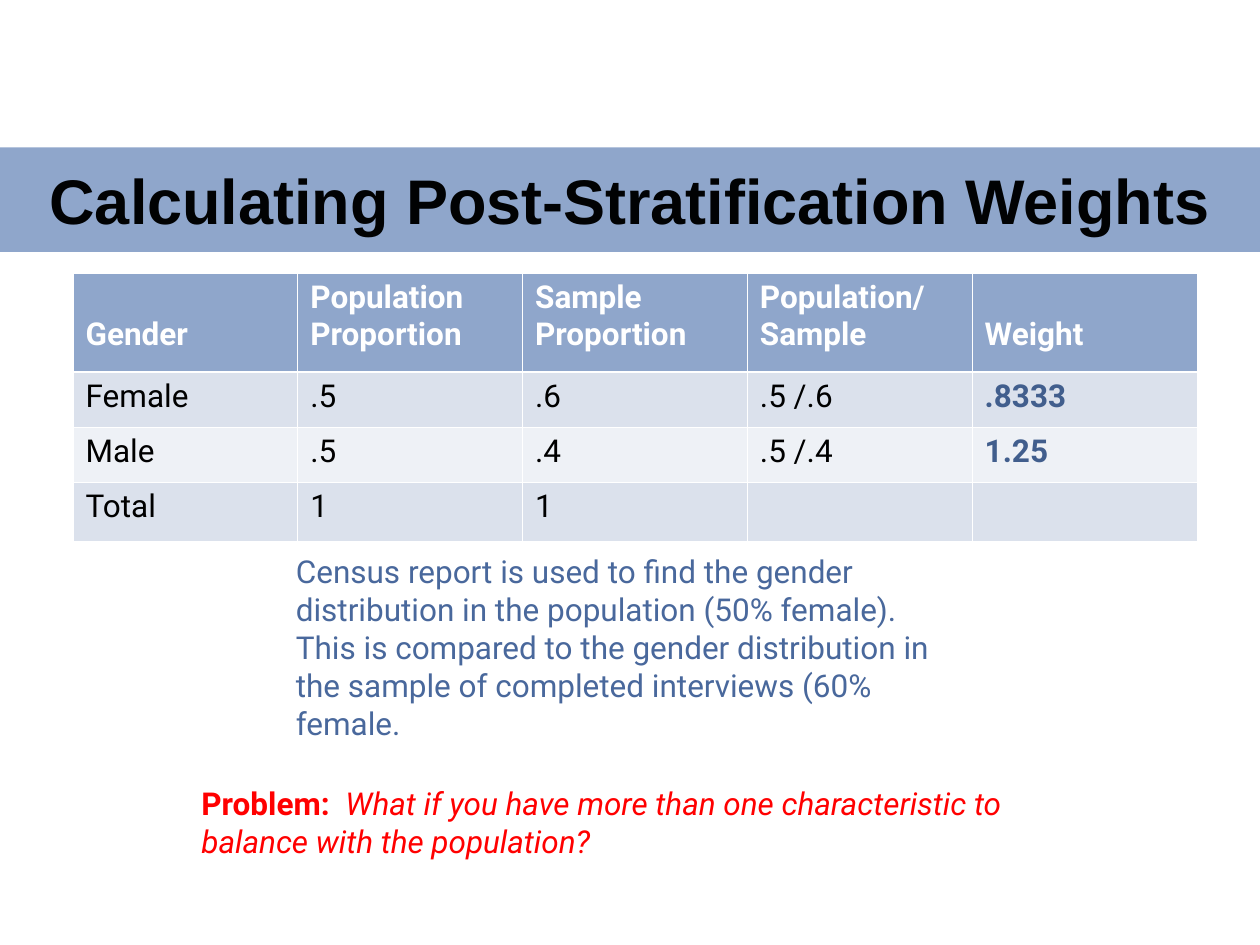
import dataclasses

import lxml.etree
import pptx
import pptx.dml.color
import pptx.enum.text
import pptx.oxml.ns
import pptx.util

Inches = pptx.util.Inches
Pt = pptx.util.Pt


@dataclasses.dataclass(frozen=True)
class Theme:
    band: str = "8FA6CB"
    title: str = "010203"
    white: str = "FFFFFF"
    black: str = "000000"
    row_dark: str = "DBE1EC"
    row_light: str = "EEF1F6"
    weight: str = "415E8D"
    note: str = "49689C"
    problem: str = "FF0000"
    title_font: str = "Arial"
    body_font: str = "Roboto"
    title_size: float = 36
    body_size: float = 18
    line_pitch: float = 21.7
    thin: float = 0.45
    thick: float = 1.47


def rgb(color):
    return pptx.dml.color.RGBColor.from_string(color)


class SlideBuilder:
    def __init__(self, presentation, theme):
        self.theme = theme
        self.slide = presentation.slides.add_slide(presentation.slide_layouts[5])

    def style(self, run, color, bold=False, italic=False, name=None, size=None):
        font = run.font
        font.name = name or self.theme.body_font
        font.size = Pt(size or self.theme.body_size)
        font.bold, font.italic = bold, italic
        font.color.rgb = rgb(color)

    def title(self, text, left, top, width, height):
        heading = self.slide.shapes.title
        heading.left, heading.top = Inches(left), Inches(top)
        heading.width, heading.height = Inches(width), Inches(height)
        heading.fill.solid()
        heading.fill.fore_color.rgb = rgb(self.theme.band)
        frame = heading.text_frame
        frame.text = text
        frame.auto_size = pptx.enum.text.MSO_AUTO_SIZE.NONE
        frame.vertical_anchor = pptx.enum.text.MSO_ANCHOR.MIDDLE
        frame.paragraphs[0].alignment = pptx.enum.text.PP_ALIGN.CENTER
        self.style(frame.paragraphs[0].runs[0], self.theme.title, bold=True,
                   name=self.theme.title_font, size=self.theme.title_size)

    def borders(self, cell, top, bottom):
        properties = cell._tc.get_or_add_tcPr()
        thin = self.theme.thin
        sides = {"lnL": thin, "lnR": thin, "lnT": top, "lnB": bottom}
        for position, (side, points) in enumerate(sides.items()):
            line = lxml.etree.Element(pptx.oxml.ns.qn(f"a:{side}"), w=str(int(Pt(points))))
            fill = lxml.etree.SubElement(line, pptx.oxml.ns.qn("a:solidFill"))
            lxml.etree.SubElement(fill, pptx.oxml.ns.qn("a:srgbClr"), val=self.theme.white)
            properties.insert(position, line)

    def table(self, rows, left, top, width, heights):
        theme = self.theme
        columns = len(rows[0])
        grid = self.slide.shapes.add_table(
            len(rows), columns, Inches(left), Inches(top),
            Inches(width), Inches(sum(heights))).table
        for column in grid.columns:
            column.width = Inches(width / columns)
        for r, (texts, height) in enumerate(zip(rows, heights)):
            grid.rows[r].height = Inches(height)
            header = r == 0
            fill = theme.band if header else (theme.row_light, theme.row_dark)[r % 2]
            for c, text in enumerate(texts):
                cell = grid.cell(r, c)
                cell.fill.solid()
                cell.fill.fore_color.rgb = rgb(fill)
                self.borders(cell, top=theme.thick if r == 1 else theme.thin,
                             bottom=theme.thick if header else theme.thin)
                if not text:
                    continue
                cell.text_frame.text = text
                is_weight = c == columns - 1
                color = theme.white if header else theme.weight if is_weight else theme.black
                self.style(cell.text_frame.paragraphs[0].runs[0], color,
                           bold=header or is_weight)
                # One-word headings sit level with the second heading line
                if header and c in (0, columns - 1):
                    cell.vertical_anchor = pptx.enum.text.MSO_ANCHOR.BOTTOM
                    cell.margin_bottom = Inches(0.15)

    def text(self, paragraphs, color, left, top, width, height):
        """Each paragraph is a list of (text, bold, italic) pieces."""
        frame = self.slide.shapes.add_textbox(
            Inches(left), Inches(top), Inches(width), Inches(height)).text_frame
        frame.word_wrap = True
        frame.auto_size = pptx.enum.text.MSO_AUTO_SIZE.SHAPE_TO_FIT_TEXT
        for index, pieces in enumerate(paragraphs):
            paragraph = frame.add_paragraph() if index else frame.paragraphs[0]
            paragraph.line_spacing = Pt(self.theme.line_pitch)
            for words, bold, italic in pieces:
                run = paragraph.add_run()
                run.text = words
                self.style(run, color, bold, italic)


def main():
    presentation = pptx.Presentation()
    presentation.slide_width, presentation.slide_height = Inches(10), Inches(7.5)
    theme = Theme()
    builder = SlideBuilder(presentation, theme)

    # Title band
    builder.title("Calculating Post-Stratification Weights", 0, 1.17, 10, 0.83)

    # Weights by gender
    weights = [
        ["Gender", "Population Proportion", "Sample Proportion", "Population/Sample", "Weight"],
        ["Female", ".5", ".6", ".5 /.6", ".8333"],
        ["Male", ".5", ".4", ".5 /.4", "1.25"],
        ["Total", "1", "1", "", ""],
    ]
    builder.table(weights, 0.58, 2.17, 8.92, [0.78, 0.44, 0.44, 0.47])

    # Explanation
    explanation = [
        [("Census report is used to find the gender distribution in the "
          "population (50% female).", False, False)],
        [("This is compared to the gender distribution in the sample of "
          "completed interviews (60% female.", False, False)],
    ]
    builder.text(explanation, theme.note, 2.25, 4.33, 5.5, 1.6)

    # Open problem
    problem = [[
        ("Problem:  ", True, False),
        ("What if you have more than one characteristic to balance with the "
         "population?", False, True),
    ]]
    builder.text(problem, theme.problem, 1.5, 6.17, 6.92, 0.7)

    presentation.save("out.pptx")


if __name__ == "__main__":
    main()
